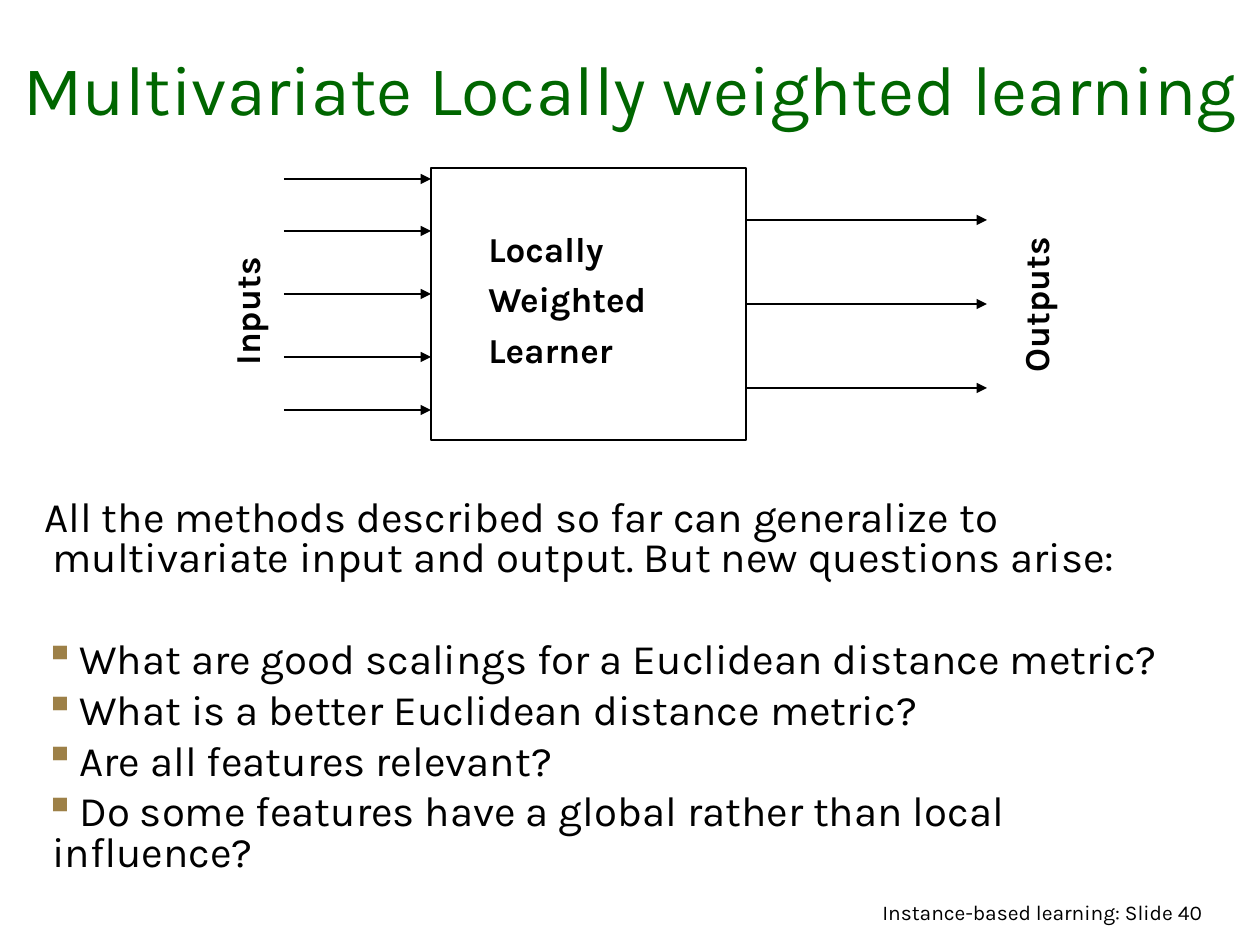
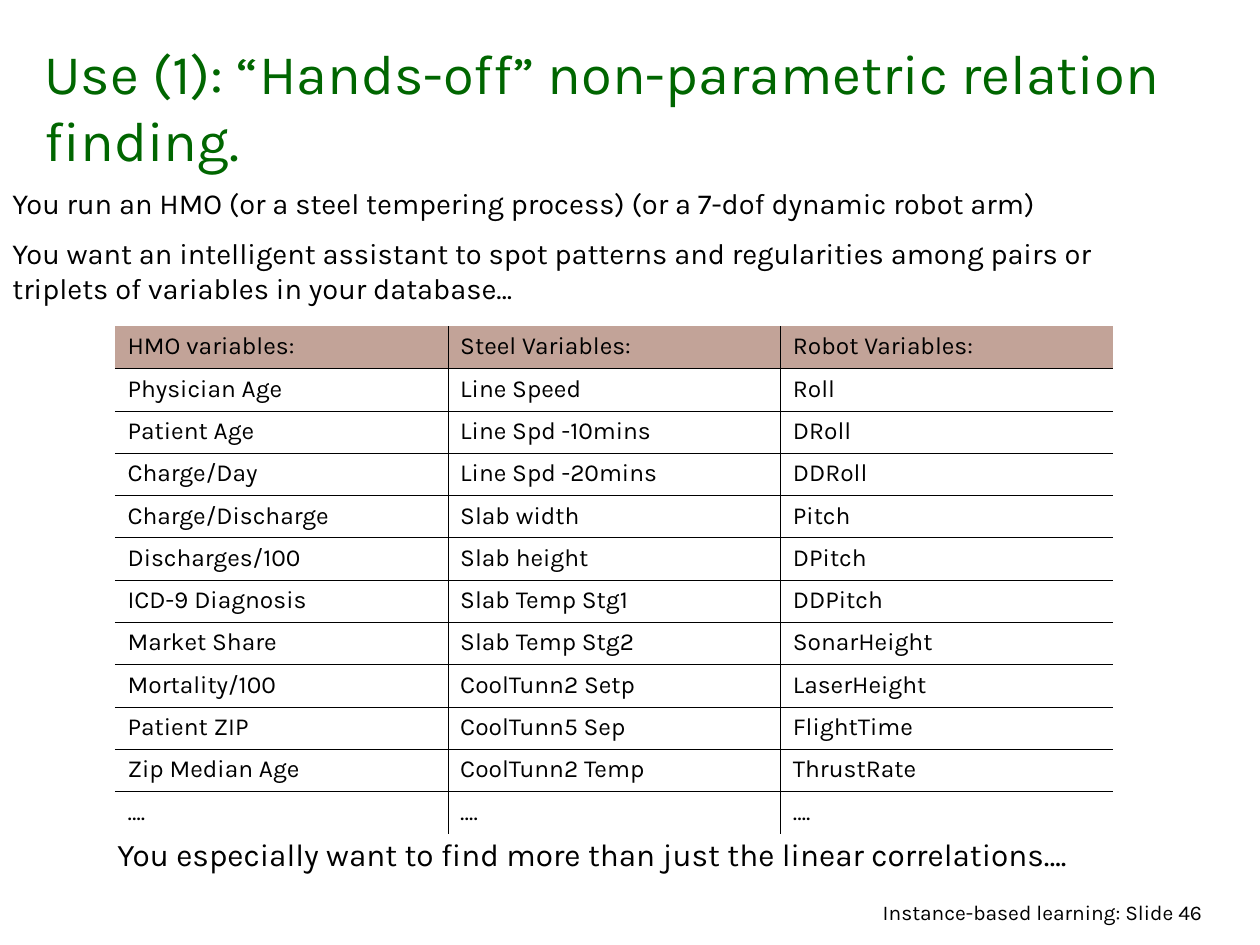
from typing import NamedTuple

from lxml.etree import SubElement
from pptx import Presentation
from pptx.dml.color import RGBColor
from pptx.enum.shapes import MSO_CONNECTOR, MSO_SHAPE
from pptx.enum.text import MSO_ANCHOR, PP_ALIGN
from pptx.oxml.ns import qn
from pptx.util import Emu, Pt

PX_PER_INCH = 126
FONT = "Karla"
BLACK, GREEN, TAN, ROSE = "000000", "006600", "9D8047", "C2A398"
BULLET_TAB = 35
GRID_WIDTH = 0.11


class Box(NamedTuple):
    left: int
    top: int
    width: int
    height: int


class Para(NamedTuple):
    text: str
    before: float = 0
    bullet: bool = False


class Label(NamedTuple):
    text: str
    box: Box


class Arrow(NamedTuple):
    start: int
    end: int
    y: int


FOOTER_BOX = Box(721, 893, 494, 42)
LEARNER_BOX = Box(431, 168, 315, 272)
LEARNER_RIGHT = LEARNER_BOX.left + LEARNER_BOX.width
LEARNER_MIDDLE = LEARNER_BOX.top + LEARNER_BOX.height // 2

SIDE_LABELS = [
    Label("Inputs", Box(73, 284, 347, 55)),
    Label("Outputs", Box(878, 277, 315, 55)),
]
INPUT_ARROWS = [Arrow(284, LEARNER_BOX.left, y) for y in (179, 231, 294, 357, 410)]
OUTPUT_ARROWS = [
    Arrow(LEARNER_RIGHT, 987, LEARNER_MIDDLE + step * 84) for step in (-1, 0, 1)
]

QUESTIONS = [
    Para("All the methods described so far can generalize to multivariate "
         "input and output. But new questions arise:"),
    Para("What are good scalings for a Euclidean distance metric?", 35, True),
    Para("What is a better Euclidean distance metric?", 6, True),
    Para("Are all features relevant?", 6, True),
    Para("Do some features have a global rather than local influence?", 6, True),
]

SCENARIO = [
    Para("You run an HMO (or a steel tempering process) "
         "(or a 7-dof dynamic robot arm)"),
    Para("You want an intelligent assistant to spot patterns and regularities "
         "among pairs or triplets of variables in your database…", 9),
]

VARIABLES = [
    ("HMO variables:", "Steel Variables:", "Robot Variables:"),
    ("Physician Age", "Line Speed", "Roll"),
    ("Patient Age", "Line Spd -10mins", "DRoll"),
    ("Charge/Day", "Line Spd -20mins", "DDRoll"),
    ("Charge/Discharge", "Slab width", "Pitch"),
    ("Discharges/100", "Slab height", "DPitch"),
    ("ICD-9 Diagnosis", "Slab Temp Stg1", "DDPitch"),
    ("Market Share", "Slab Temp Stg2", "SonarHeight"),
    ("Mortality/100", "CoolTunn2 Setp", "LaserHeight"),
    ("Patient ZIP", "CoolTunn5 Sep", "FlightTime"),
    ("Zip Median Age", "CoolTunn2 Temp", "ThrustRate"),
    ("….", "….", "…."),
]


def px(value: float) -> Emu:
    return Emu(round(value * 914400 / PX_PER_INCH))


def rgb(hex_code: str) -> RGBColor:
    return RGBColor.from_string(hex_code)


def place(box: Box) -> list[Emu]:
    return [px(value) for value in box]


def add_bullet(p) -> None:
    """Give the paragraph a hanging square bullet and a tab stop for its text."""
    pPr = p._p.get_or_add_pPr()
    color = SubElement(pPr, qn("a:buClr"))
    SubElement(color, qn("a:srgbClr"), val=TAN)
    SubElement(pPr, qn("a:buChar"), char="▪")
    tabs = SubElement(pPr, qn("a:tabLst"))
    SubElement(tabs, qn("a:tab"), pos=str(px(BULLET_TAB)), algn="l")


def write(tf, paras: list[Para], *, size: float, color: str = BLACK,
          bold: bool = False, align: PP_ALIGN = PP_ALIGN.LEFT,
          spacing: float | None = None, margin: int = 0, hang: int = 0) -> None:
    """Fill a text frame with paragraphs that share one format."""
    tf.word_wrap = True
    for i, para in enumerate(paras):
        p = tf.paragraphs[0] if i == 0 else tf.add_paragraph()
        pPr = p._p.get_or_add_pPr()
        pPr.set("marL", str(px(margin)))
        pPr.set("indent", str(px(-hang)))
        if para.bullet:
            add_bullet(p)
        p.alignment = align
        if para.before:
            p.space_before = Pt(para.before)
        if spacing:
            p.line_spacing = spacing
        r = p.add_run()
        r.text = "\t" + para.text if para.bullet else para.text
        r.font.name = FONT
        r.font.size = Pt(size)
        r.font.bold = bold
        r.font.color.rgb = rgb(color)


def add_text(s, box: Box, paras: list[Para], *, rotation: int = 0,
             anchor: MSO_ANCHOR = MSO_ANCHOR.TOP, **style) -> None:
    sp = s.shapes.add_textbox(*place(box))
    sp.rotation = rotation
    sp.text_frame.vertical_anchor = anchor
    write(sp.text_frame, paras, **style)


def add_slide(prs, number: int, title: str, title_box: Box, **title_style):
    """Add a blank slide with the shared title style and footer."""
    s = prs.slides.add_slide(prs.slide_layouts[6])
    add_text(s, FOOTER_BOX, [Para(f"Instance-based learning: Slide {number}")],
             size=12, align=PP_ALIGN.RIGHT)
    add_text(s, title_box, [Para(title)], color=GREEN,
             anchor=MSO_ANCHOR.BOTTOM, **title_style)
    return s


def add_arrow(s, arrow: Arrow):
    cxn = s.shapes.add_connector(MSO_CONNECTOR.STRAIGHT, px(arrow.start),
                                 px(arrow.y), px(arrow.end), px(arrow.y))
    cxn.line.color.rgb = rgb(BLACK)
    cxn.line.width = Pt(0.75)
    SubElement(cxn.line._get_or_add_ln(), qn("a:tailEnd"), type="triangle")
    SubElement(cxn._element.spPr, qn("a:effectLst"))
    return cxn


def add_learner(s):
    sp = s.shapes.add_shape(MSO_SHAPE.RECTANGLE, *place(LEARNER_BOX))
    sp.shadow.inherit = False
    sp.fill.background()
    sp.line.color.rgb = rgb(BLACK)
    sp.line.width = Pt(1)
    tf = sp.text_frame
    tf.vertical_anchor = MSO_ANCHOR.TOP
    tf.margin_top = px(59)
    write(tf, [Para("Locally"), Para("Weighted", 5), Para("Learner", 5)],
          size=20, bold=True, margin=45)
    return sp


def set_borders(cell, visible: dict[str, bool]) -> None:
    """Draw the visible sides of a cell thinly and hide the others."""
    tcPr = cell._tc.get_or_add_tcPr()
    for side, shown in visible.items():
        ln = SubElement(tcPr, qn(f"a:ln{side}"), w=str(Pt(GRID_WIDTH)))
        if shown:
            fill = SubElement(ln, qn("a:solidFill"))
            SubElement(fill, qn("a:srgbClr"), val=BLACK)
        else:
            SubElement(ln, qn("a:noFill"))


def add_grid(s, box: Box, rows: list[tuple[str, ...]]) -> None:
    """Add a table ruled between its cells only, with a tinted header row."""
    n_rows, n_cols = len(rows), len(rows[0])
    table = s.shapes.add_table(n_rows, n_cols, *place(box)).table
    table.horz_banding = table.first_row = False
    for row in table.rows:
        row.height = px(box.height / n_rows)
    for i, values in enumerate(rows):
        for j, value in enumerate(values):
            cell = table.cell(i, j)
            set_borders(cell, {"L": j > 0, "R": j < n_cols - 1,
                               "T": i > 0, "B": i < n_rows - 1})
            if i == 0:
                cell.fill.solid()
                cell.fill.fore_color.rgb = rgb(ROSE)
            else:
                cell.fill.background()
            write(cell.text_frame, [Para(value)], size=14)


def build_learner_slide(prs) -> None:
    s = add_slide(prs, 40, "Multivariate Locally weighted learning",
                  Box(0, 32, 1260, 104), size=40, align=PP_ALIGN.CENTER)
    add_text(s, Box(32, 494, 1182, 399), QUESTIONS, size=24, spacing=0.8,
             margin=8, hang=8)
    for label in SIDE_LABELS:
        add_text(s, label.box, [Para(label.text)], rotation=270, size=20,
                 bold=True, align=PP_ALIGN.CENTER)
    learner = add_learner(s)
    for arrow in INPUT_ARROWS + OUTPUT_ARROWS:
        cxn = add_arrow(s, arrow)
        if arrow.y == LEARNER_MIDDLE:
            cxn.begin_connect(learner, 3)


def build_relations_slide(prs) -> None:
    s = add_slide(prs, 46, "Use (1): “Hands-off” non-parametric relation finding.",
                  Box(32, 32, 1176, 147), size=32)
    add_text(s, Box(0, 179, 1176, 147), SCENARIO, size=16.6)
    add_grid(s, Box(115, 326, 998, 508), VARIABLES)
    add_text(s, Box(105, 829, 1018, 50),
             [Para("You especially want to find more than just the linear "
                   "correlations….")], size=18)


def main() -> None:
    prs = Presentation()
    prs.slide_width, prs.slide_height = px(1260), px(945)
    build_learner_slide(prs)
    build_relations_slide(prs)
    prs.save("out.pptx")


if __name__ == "__main__":
    main()
